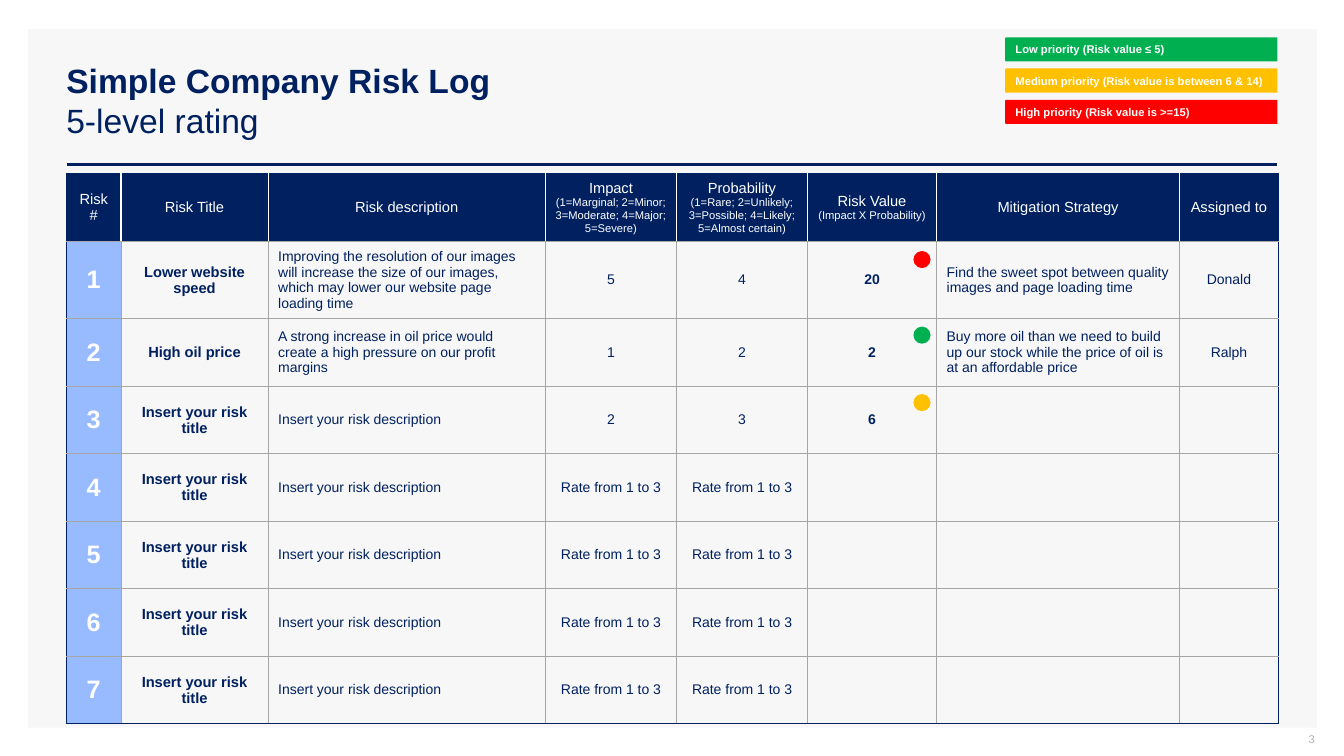
from lxml.etree import SubElement
from pptx import Presentation
from pptx.dml.color import RGBColor
from pptx.enum.shapes import MSO_CONNECTOR, MSO_SHAPE
from pptx.enum.text import MSO_ANCHOR as Anchor, PP_ALIGN as Align
from pptx.oxml import parse_xml
from pptx.oxml.ns import nsdecls, qn
from pptx.util import Inches, Pt

COLORS = {"navy": "002060", "panel": "F7F7F7", "index": "98BAFF", "grid": "A6A6A6",
          "muted": "ADAFBB", "white": "FFFFFF",
          "low": "00B050", "medium": "FFC000", "high": "FF0000"}

LEGEND = [("low", "Low priority (Risk value ≤ 5)"),
          ("medium", "Medium priority (Risk value is between 6 & 14)"),
          ("high", "High priority (Risk value is >=15)")]

COLUMN_WIDTHS = [0.54, 1.46, 2.75, 1.3, 1.3, 1.28, 2.41, 0.98]
ROW_HEIGHT = 0.67
HEADERS = [("Risk #",), ("Risk Title",), ("Risk description",),
           ("Impact", "(1=Marginal; 2=Minor; 3=Moderate; 4=Major; 5=Severe)"),
           ("Probability", "(1=Rare; 2=Unlikely; 3=Possible; 4=Likely; 5=Almost certain)"),
           ("Risk Value", "(Impact X Probability)"),
           ("Mitigation Strategy",), ("Assigned to",)]

TITLE_HINT, TEXT_HINT, RATE = ("Insert your risk title", "Insert your risk description",
                               "Rate from 1 to 3")
RISKS = [
    ("Lower website speed",
     "Improving the resolution of our images will increase the size of our images, "
     "which may lower our website page loading time",
     "5", "4", "20", "Find the sweet spot between quality images and page loading time",
     "Donald"),
    ("High oil price",
     "A strong increase in oil price would create a high pressure on our profit margins",
     "1", "2", "2",
     "Buy more oil than we need to build up our stock while the price of oil is "
     "at an affordable price", "Ralph"),
    (TITLE_HINT, TEXT_HINT, "2", "3", "6", "", ""),
] + [(TITLE_HINT, TEXT_HINT, RATE, RATE, "", "", "")] * 4

# Text formats of the body columns
INDEX = {"size": 18, "bold": True, "color": "white"}
NAME = {"size": 10.5, "bold": True}
PLAIN = {"size": 10}
VALUE = {"size": 10, "bold": True}
PROSE = {"size": 10, "align": Align.LEFT}
BODY_FORMATS = [INDEX, NAME, PROSE, PLAIN, PLAIN, VALUE, PROSE, PLAIN]


def rgb(name):
    return RGBColor.from_string(COLORS[name])


class RiskLogPage:
    def __init__(self, page, font_name="Arial"):
        self.page = page
        self.font_name = font_name

    def style_span(self, span, size, color="navy", bold=False):
        values = {"name": self.font_name, "size": Pt(size), "bold": bold}
        for name, value in values.items():
            setattr(span.font, name, value)
        span.font.color.rgb = rgb(color)

    def add_text(self, para, text, align=Align.LEFT, **style):
        para.alignment = align
        span = para.add_run()
        span.text = text
        self.style_span(span, **style)

    def frame(self, box, margins=(0.1, 0.05, 0.1, 0.05)):
        frame = box.text_frame
        frame.word_wrap = True
        frame.vertical_anchor = Anchor.MIDDLE
        for side, margin in zip(("left", "top", "right", "bottom"), margins):
            setattr(frame, f"margin_{side}", Inches(margin))
        return frame

    def text_box(self, place, margins=(0.1, 0.05, 0.1, 0.05)):
        box = self.page.shapes.add_textbox(*map(Inches, place))
        return self.frame(box, margins).paragraphs[0]

    def shape(self, kind, place, color):
        shape = self.page.shapes.add_shape(kind, *map(Inches, place))
        shape.shadow.inherit = False
        shape.fill.solid()
        shape.fill.fore_color.rgb = rgb(color)
        shape.line.fill.background()
        return shape

    def rule(self, left, right, top):
        line = self.page.shapes.add_connector(
            MSO_CONNECTOR.STRAIGHT, Inches(left), Inches(top), Inches(right), Inches(top))
        line.line.color.rgb = rgb("navy")
        line.line.width = Pt(2)
        SubElement(line._element.spPr, qn("a:effectLst"))

    def label(self, place, color, text):
        bar = self.shape(MSO_SHAPE.ROUNDED_RECTANGLE, place, color)
        bar.adjustments[0] = 0.04
        para = self.frame(bar).paragraphs[0]
        para.space_after = Pt(3)
        self.add_text(para, text, size=8, bold=True, color="white")

    def borders(self, cell, sides):
        properties = cell._tc.get_or_add_tcPr()
        for position, (side, (color, width)) in enumerate(sides.items()):
            properties.insert(position, parse_xml(
                f'<a:ln{side} {nsdecls("a")} w="{Pt(width)}"><a:solidFill>'
                f'<a:srgbClr val="{COLORS[color]}"/></a:solidFill></a:ln{side}>'))

    def cell(self, cell, fill, sides):
        cell.vertical_anchor = Anchor.MIDDLE
        if fill:
            cell.fill.solid()
            cell.fill.fore_color.rgb = rgb(fill)
        else:
            cell.fill.background()
        self.borders(cell, sides)

    def risk_table(self, left, top):
        rows, columns = len(RISKS) + 1, len(COLUMN_WIDTHS)
        table = self.page.shapes.add_table(
            rows, columns, Inches(left), Inches(top),
            Inches(sum(COLUMN_WIDTHS)), Inches(ROW_HEIGHT * rows)).table
        table.first_row = table.horz_banding = False
        for column, width in zip(table.columns, COLUMN_WIDTHS):
            column.width = Inches(width)
        for row in table.rows:
            row.height = Inches(ROW_HEIGHT)

        # Fills and borders: navy outline, white header dividers, grey grid
        outline, grid = ("navy", 1), ("grid", 0.5)
        for r in range(rows):
            inner = grid if r else ("white", 1)
            for c in range(columns):
                fill = "navy" if r == 0 else "index" if c == 0 else None
                self.cell(table.cell(r, c), fill, {
                    "L": outline if c == 0 else inner,
                    "R": outline if c == columns - 1 else inner,
                    "T": outline if r == 0 else grid,
                    "B": outline if r == rows - 1 else grid})

        # Header text
        for c, lines in enumerate(HEADERS):
            frame = table.cell(0, c).text_frame
            for number, (text, size) in enumerate(zip(lines, (10.5, 8))):
                para = frame.add_paragraph() if number else frame.paragraphs[0]
                self.add_text(para, text, Align.CENTER, size=size, color="white")

        # Body text
        for r, risk in enumerate(RISKS, 1):
            for c, (text, style) in enumerate(zip((str(r), *risk), BODY_FORMATS)):
                if text:
                    para = table.cell(r, c).text_frame.paragraphs[0]
                    self.add_text(para, text, **{"align": Align.CENTER, **style})


def main():
    deck = Presentation()
    deck.slide_width, deck.slide_height = Inches(13.33), Inches(7.5)
    log = RiskLogPage(deck.slides.add_slide(deck.slide_layouts[6]))

    # Background panel and title
    log.shape(MSO_SHAPE.RECTANGLE, (0.28, 0.29, 12.78, 6.93), "panel")
    log.rule(0.66, 12.67, 1.63)
    title = log.text_box((0.56, 0.4, 9.3, 1.19))
    log.add_text(title, "Simple Company Risk Log", size=24, bold=True)
    title.add_line_break()
    log.add_text(title, "5-level rating", size=24)

    # Page number
    number = log.text_box((10.04, 7.25, 3, 0.21), (0.1, 0, 0, 0.05))
    log.add_text(number, "3", Align.RIGHT, size=8, color="muted")

    log.risk_table(0.66, 1.72)

    # Priority legend
    for step, (color, text) in enumerate(LEGEND):
        log.label((9.97, 0.37 + 0.31 * step, 2.7, 0.24), color, text)

    # Priority markers beside the risk values
    for top, color in ((2.49, "high"), (3.24, "low"), (3.91, "medium")):
        log.shape(MSO_SHAPE.OVAL, (9.06, top, 0.17, 0.17), color)

    deck.save("out.pptx")


if __name__ == "__main__":
    main()
